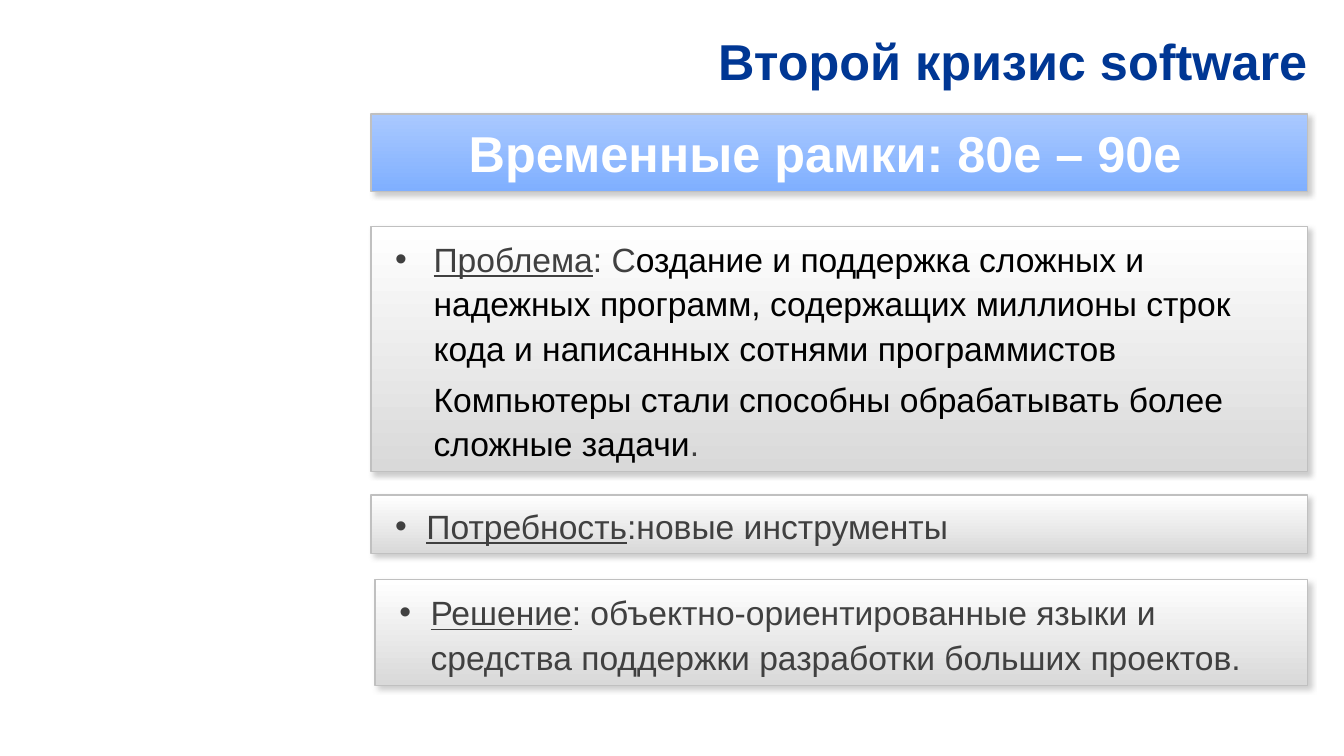
from lxml.etree import SubElement
from pptx import Presentation
from pptx.dml.color import RGBColor
from pptx.enum.shapes import MSO_SHAPE as Shape
from pptx.enum.text import MSO_ANCHOR as Anchor, PP_ALIGN as Align
from pptx.oxml.ns import qn
from pptx.util import Inches, Pt

HUES = {"navy": "003794", "gray": "404040", "black": "000000",
        "white": "FFFFFF", "edge": "C0C0C0", "shade": "808080",
        "silver": "D9D9D9", "sky": "AAC9FF", "blue": "7FAFFF"}
TITLE = "Второй кризис software"
BANNER = "Временные рамки: 80е – 90е"

# Each paragraph: bullet flag, then runs of (text, colour, underlined)
ISSUE = [
    (True, [("Проблема", "gray", True), (": С", "gray", False),
            ("оздание и поддержка сложных и надежных программ, содержащих "
             "миллионы строк кода и написанных сотнями программистов",
             "black", False)]),
    (False, [("Компьютеры стали способны обрабатывать более сложные задачи",
              "black", False), (".", "gray", False)]),
]
NEED = [(True, [("Потребность", "gray", True),
                (":новые инструменты", "gray", False)])]
ANSWER = [(True, [("Решение", "gray", True),
                  (": объектно-ориентированные языки и средства поддержки "
                   "разработки больших проектов.", "gray", False)])]

LEFT, RIGHT = 3.68, 12.97
# Left edge, top, height, text indent, paragraphs
PANELS = [(LEFT, 2.25, 2.43, 0.38, ISSUE),
          (LEFT, 4.91, 0.58, 0.31, NEED),
          (LEFT + 0.04, 5.75, 1.05, 0.31, ANSWER)]


def rgb(name):
    return RGBColor.from_string(HUES[name])


def place(item, left, top, high):
    item.left, item.top = Inches(left), Inches(top)
    item.width, item.height = Inches(RIGHT - left), Inches(high)


def inset(frame, left, top, right, low):
    frame.margin_left, frame.margin_top = Inches(left), Inches(top)
    frame.margin_right, frame.margin_bottom = Inches(right), Inches(low)
    frame.word_wrap = True
    frame.vertical_anchor = Anchor.MIDDLE


def write(para, text, hue, size, bold=False, under=False):
    run = para.add_run()
    run.text = text
    font = run.font
    font.name, font.size = "Arial", Pt(size)
    font.bold, font.underline = bold, under
    font.color.rgb = rgb(hue)


def cast(box):
    """Give the box a soft shadow to the lower right."""
    box.shadow.inherit = False
    glow = SubElement(box.element.spPr.find(qn("a:effectLst")),
                      qn("a:outerShdw"), blurRad=str(Pt(4)),
                      dist=str(Pt(3)), dir="2700000", algn="tl",
                      rotWithShape="0")
    tone = SubElement(glow, qn("a:srgbClr"), val=HUES["shade"])
    SubElement(tone, qn("a:alpha"), val="40000")


def panel(slide, left, top, high, fade):
    box = slide.shapes.add_shape(Shape.RECTANGLE, 0, 0, 0, 0)
    place(box, left, top, high)
    box.fill.gradient()
    box.fill.gradient_angle = 270
    for spot, (stop, hue) in enumerate(zip(box.fill.gradient_stops, fade)):
        stop.position = spot
        stop.color.rgb = rgb(hue)
    box.line.color.rgb = rgb("edge")
    box.line.width = Pt(1)
    cast(box)
    inset(box.text_frame, 0.24, 0.04, 0.24, 0.04)
    return box.text_frame


def fill(frame, paras, dent):
    for row, (dot, runs) in enumerate(paras):
        para = frame.add_paragraph() if row else frame.paragraphs[0]
        para.alignment = Align.LEFT
        para.line_spacing = 1.1
        para.space_after = Pt(5)
        props = para._p.get_or_add_pPr()
        props.set("marL", str(Inches(dent)))
        props.set("indent", str(-Inches(dent) if dot else 0))
        if dot:
            SubElement(props, qn("a:buFont"), typeface="Arial")
            SubElement(props, qn("a:buChar"), char="•")
        else:
            SubElement(props, qn("a:buNone"))
        for text, hue, under in runs:
            write(para, text, hue, 24, under=under)


def main():
    deck = Presentation()
    deck.slide_width, deck.slide_height = Inches(13.33), Inches(7.5)
    slide = deck.slides.add_slide(deck.slide_layouts[5])

    title = slide.shapes.title
    place(title, LEFT, 0.26, 0.68)
    inset(title.text_frame, 0, 0, 0, 0)
    head = title.text_frame.paragraphs[0]
    head.alignment = Align.RIGHT
    write(head, TITLE, "navy", 36, bold=True)

    for left, top, high, dent, paras in PANELS:
        fill(panel(slide, left, top, high, ("white", "silver")), paras, dent)

    frame = panel(slide, LEFT, 1.13, 0.77, ("sky", "blue"))
    frame.margin_right = Inches(0.52)
    line = frame.paragraphs[0]
    line.alignment = Align.CENTER
    write(line, BANNER, "white", 36, bold=True)

    deck.save("out.pptx")


if __name__ == "__main__":
    main()
